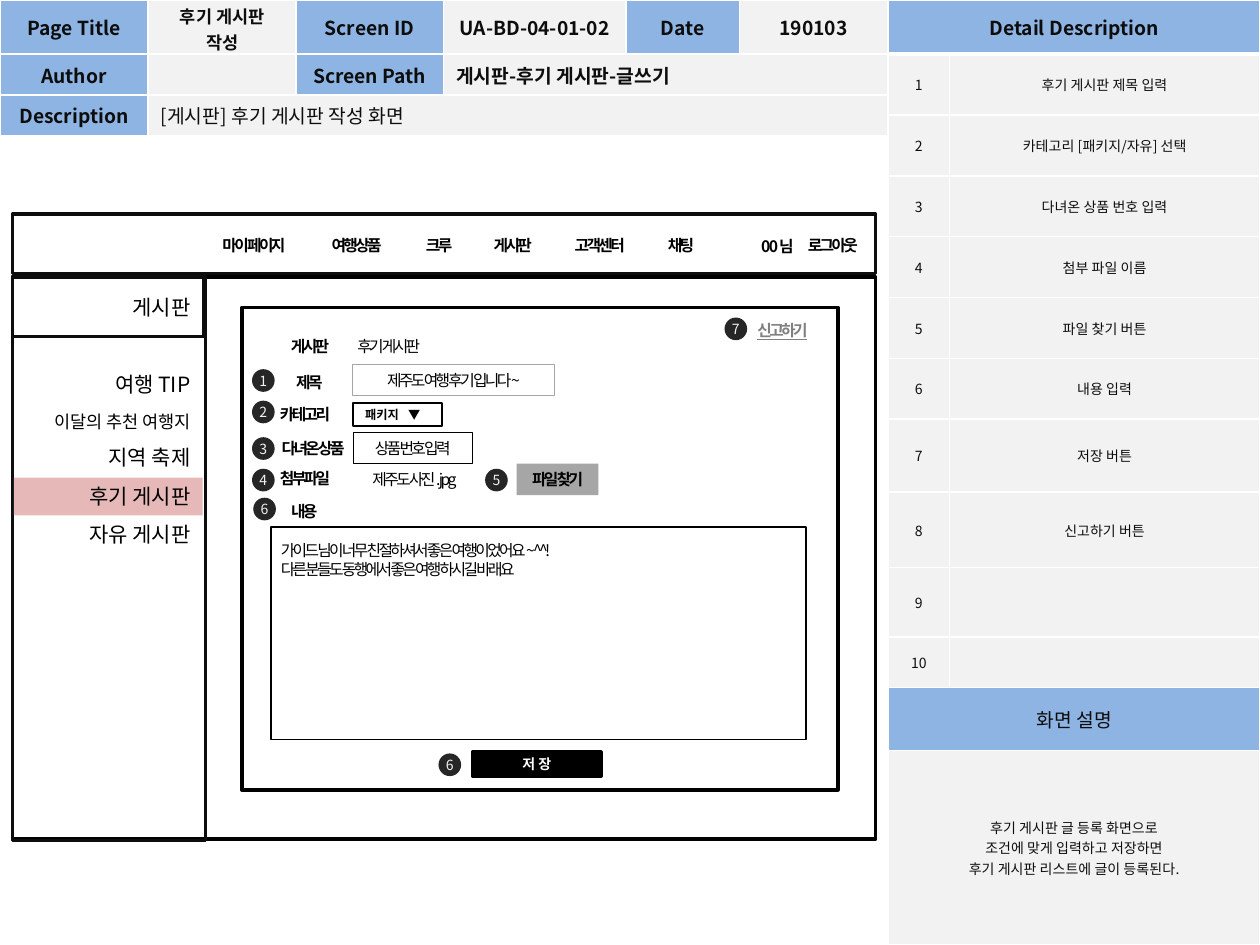
from lxml.etree import SubElement
from pptx import Presentation
from pptx.dml.color import RGBColor as RGB
from pptx.enum.shapes import MSO_SHAPE as SHAPE
from pptx.enum.text import MSO_ANCHOR as ANCHOR, MSO_AUTO_SIZE as AUTO, PP_ALIGN as ALIGN
from pptx.oxml.ns import qn
from pptx.util import Inches, Pt

# Theme: colours, font and type styles
THEME = {
    "font": "Noto Sans CJK KR",
    "blue": "8EB4E3", "pale": "F2F2F2", "pink": "E6B9B8", "grey": "A6A6A6",
    "muted": "808080", "ink": "0D0D0D", "black": "000000", "white": "FFFFFF", "dark": "262626",
    "styles": {
        # name: (font attributes, colour, alignment, letter spacing)
        "label": ({"size": Pt(11), "bold": True}, "ink", ALIGN.CENTER, 0),
        "name": ({"size": Pt(10), "bold": True}, "ink", ALIGN.CENTER, 0),
        "route": ({"size": Pt(11), "bold": True}, "ink", ALIGN.LEFT, 0),
        "summary": ({"size": Pt(11), "bold": False}, "ink", ALIGN.LEFT, 0),
        "heading": ({"size": Pt(11), "bold": False}, "ink", ALIGN.CENTER, 0),
        "note": ({"size": Pt(8), "bold": False}, "ink", ALIGN.CENTER, 0),
        "menu": ({"size": Pt(12)}, "black", ALIGN.RIGHT, 0),
        "small menu": ({"size": Pt(10)}, "black", ALIGN.RIGHT, 0),
        "caption": ({"size": Pt(9), "bold": True}, "black", ALIGN.CENTER, -150),
        "entry": ({"size": Pt(9)}, "black", ALIGN.CENTER, -150),
        "story": ({"size": Pt(9)}, "black", ALIGN.LEFT, -150),
        "link": ({"size": Pt(9), "bold": True, "underline": True}, "muted", ALIGN.CENTER, -150),
        "choice": ({"size": Pt(7), "bold": True}, "black", ALIGN.LEFT, 0),
        "button": ({"size": Pt(8), "bold": True}, "white", ALIGN.CENTER, 0),
        "badge": ({"size": Pt(8)}, "pale", ALIGN.CENTER, 0),
    },
}

deck = Presentation()
deck.slide_width, deck.slide_height = Inches(10), Inches(7.5)
slide = deck.slides.add_slide(deck.slide_layouts[6])
# Grid of 100 columns by 75 rows
COL, ROW = deck.slide_width / 100, deck.slide_height / 75


def write(frame, text, style):
    """Fill a text frame, one paragraph per line, in a theme style."""
    formats, colour, align, spacing = THEME["styles"][style]
    for index, line in enumerate(text.split("\n")):
        paragraph = frame.add_paragraph() if index else frame.paragraphs[0]
        paragraph.alignment = align
        if not line:
            paragraph._p.get_or_add_endParaRPr().set("sz", str(int(formats["size"].pt * 100)))
            continue
        run = paragraph.add_run()
        run.text = line
        for key, value in formats.items():
            setattr(run.font, key, value)
        run.font.name = THEME["font"]
        run.font.color.rgb = RGB.from_string(THEME[colour])
        properties = run._r.get_or_add_rPr()
        SubElement(properties, qn("a:ea"), typeface=THEME["font"])
        if spacing:
            properties.set("spc", str(spacing))


def box(left, top, width, height, text="", style="", fill=None, line=None, weight=1,
        kind=None, wrap=True, grow=True):
    """Place a text box, or a shape when it has a fill, a line or a kind."""
    place = [int(v) for v in (left * COL, top * ROW, width * COL, height * ROW)]
    if fill or line or kind:
        item = slide.shapes.add_shape(kind or SHAPE.RECTANGLE, *place)
        item.shadow.inherit = False
        if fill:
            item.fill.solid()
            item.fill.fore_color.rgb = RGB.from_string(THEME[fill])
        else:
            item.fill.background()
        if line:
            item.line.color.rgb = RGB.from_string(THEME[line])
            item.line.width = Pt(weight)
        else:
            item.line.fill.background()
    else:
        item = slide.shapes.add_textbox(*place)
    if text:
        frame = item.text_frame
        frame.word_wrap = wrap
        frame.vertical_anchor = ANCHOR.TOP if grow else ANCHOR.MIDDLE
        frame.auto_size = AUTO.SHAPE_TO_FIT_TEXT if grow else AUTO.NONE
        write(frame, text, style)
    return item


# Page information and detail description tables
page_rows = [
    [("label", "Page Title"), ("name", "후기 게시판\n작성"), ("label", "Screen ID"),
     ("value", "UA-BD-04-01-02"), ("label", "Date"), ("value", "190103")],
    [("label", "Author"), ("value", ""), ("label", "Screen Path"), ("route", "게시판-후기 게시판-글쓰기")],
    [("label", "Description"), ("summary", "[게시판] 후기 게시판 작성 화면")],
]
details = ["후기 게시판 제목 입력", "카테고리 [패키지/자유] 선택", "다녀온 상품 번호 입력", "첨부 파일 이름",
           "파일 찾기 버튼", "내용 입력", "저장 버튼", "신고하기 버튼", "", ""]
detail_rows = [
    [("label", "Detail Description")],
    *[[("note", str(number)), ("note", detail)] for number, detail in enumerate(details, 1)],
    [("heading", "화면 설명")],
    [("note", "후기 게시판 글 등록 화면으로\n조건에 맞게 입력하고 저장하면\n후기 게시판 리스트에 글이 등록된다.")],
]
tables = [
    (0, page_rows, [11.75, 11.75, 11.7, 14.5, 9, 11.75], [4.3, 3.2, 3.2]),
    (70.5, detail_rows, [4.85, 24.65], [4.3] + [4.83] * 6 + [5.8, 6, 5.5, 4, 5, 15.4]),
]
for left, rows, widths, heights in tables:
    table = slide.shapes.add_table(len(heights), len(widths), int(left * COL), 0,
                                   int(sum(widths) * COL), int(sum(heights) * ROW)).table
    table.first_row = table.horz_banding = False
    for column, width in zip(table.columns, widths):
        column.width = int(width * COL)
    for r, (cells, height) in enumerate(zip(rows, heights)):
        table.rows[r].height = int(height * ROW)
        if len(cells) < len(widths):
            table.cell(r, len(cells) - 1).merge(table.cell(r, len(widths) - 1))
        for c in range(len(widths)):
            style, text = cells[min(c, len(cells) - 1)]
            cell = table.cell(r, c)
            for side in "LRTB":
                heavy = rows is detail_rows and r == 0 and side == "B"
                edge = SubElement(cell._tc.get_or_add_tcPr(), qn(f"a:ln{side}"),
                                  w=str(Pt(3 if heavy else 1)))
                SubElement(SubElement(edge, qn("a:solidFill")), qn("a:srgbClr"), val=THEME["white"])
            cell.fill.solid()
            cell.fill.fore_color.rgb = RGB.from_string(
                THEME["blue" if style in ("label", "heading") else "pale"])
            cell.vertical_anchor = ANCHOR.MIDDLE
            if style == "name":
                cell.margin_top, cell.margin_bottom = Inches(0.03), 0
            if c < len(cells):
                write(cell.text_frame, text, "label" if style == "value" else style)

# Screen frame and top navigation
box(1, 22, 68.5, 44.6, line="black", weight=2)
box(1, 17, 68.5, 4.7, line="ink", weight=2)
for left, width, entry in [(16.4, 7.5, "마이 페이지"), (25.2, 6.2, "여행상품"), (32.8, 4.1, "크루"),
                           (38.1, 5.2, "게시판"), (44.5, 6.2, "고객센터"), (52, 4.1, "채팅"),
                           (63, 6.2, "로그아웃")]:
    box(left, 18.25, width, 2.5, entry, "caption", wrap=False)
box(59.4, 18.3, 4.6, 2.5, "0 0 님", "caption")

# Sidebar
box(1, 22, 15.3, 44.7, line="ink", weight=2)
box(1, 22, 15.2, 4.7, line="ink", weight=2)
for top, entry, style, fill in [(22.9, "게시판", "menu", None), (29, "여행 TIP", "menu", None),
                                (32.1, "이달의 추천 여행지", "small menu", None),
                                (34.8, "지역 축제", "menu", None), (37.9, "후기 게시판", "menu", "pink"),
                                (40.9, "자유 게시판", "menu", None)]:
    box(1.1, top, 15, 3, entry, style, fill)

# Form frame and captions
box(19.2, 24.4, 47.3, 38.3, line="black", weight=2)
for left, top, width, caption in [(22, 26.2, 5.2, "게시판"), (22.5, 29.1, 4.1, "제목"),
                                  (21.1, 31.6, 6.2, "카테고리"), (21.1, 34.3, 7.5, "다녀온 상품"),
                                  (21.1, 36.7, 6.2, "첨부파일"), (22.1, 39.3, 4.1, "내용")]:
    box(left, top, width, 2.5, caption, "caption", wrap=False)

# Form entries
box(27.1, 26.2, 7.5, 2.5, "후기 게시판", "entry", wrap=False)
box(28, 28.9, 16, 2.5, "제주도 여행 후기 입니다~", "entry", line="grey", weight=0.75)
box(28, 34.3, 9.5, 2.5, "상품 번호 입력", "entry", line="black", weight=0.25)
box(28, 36.8, 9.8, 2.5, "제주도 사진 . jpg", "entry")
box(41, 36.8, 6.5, 2.5, "파일 찾기", "caption", fill="grey", wrap=False)
box(59, 25, 6.2, 2.5, "신고하기", "link", wrap=False)
category = box(28, 32, 7.1, 1.8, "패키지\t▼", "choice", "white", "black", grow=False)
tabs = SubElement(category.text_frame.paragraphs[0]._p.get_or_add_pPr(), qn("a:tabLst"))
SubElement(tabs, qn("a:tab"), pos=str(int(3.4 * COL)), algn="l")

# Content area and save button
box(21.5, 41.8, 42.5, 16.9, line="black")
box(21.3, 42.4, 26.8, 4, "가이드 님이 너무 친절하셔서 좋은 여행이었어요 ~ ^^!\n다른 분들도 동행에서 좋은 여행 하시길 바래요",
    "story", wrap=False)
box(37.5, 59.7, 10.2, 1.9, "저 장", "button", "black", "black", 2, grow=False)

# Numbered badges
for left, top, number in [(20, 29.3, 1), (20, 31.8, 2), (20, 34.7, 3), (20, 37.2, 4), (38.5, 37.2, 5),
                          (20.1, 39.5, 6), (34.8, 59.8, 6), (57.5, 25.2, 7)]:
    badge = box(left, top, 1.8, 1.8, str(number), "badge", "dark", kind=SHAPE.OVAL,
                wrap=False, grow=False)
    for margin in ("left", "right", "top", "bottom"):
        setattr(badge.text_frame, f"margin_{margin}", 0)

deck.save("out.pptx")
